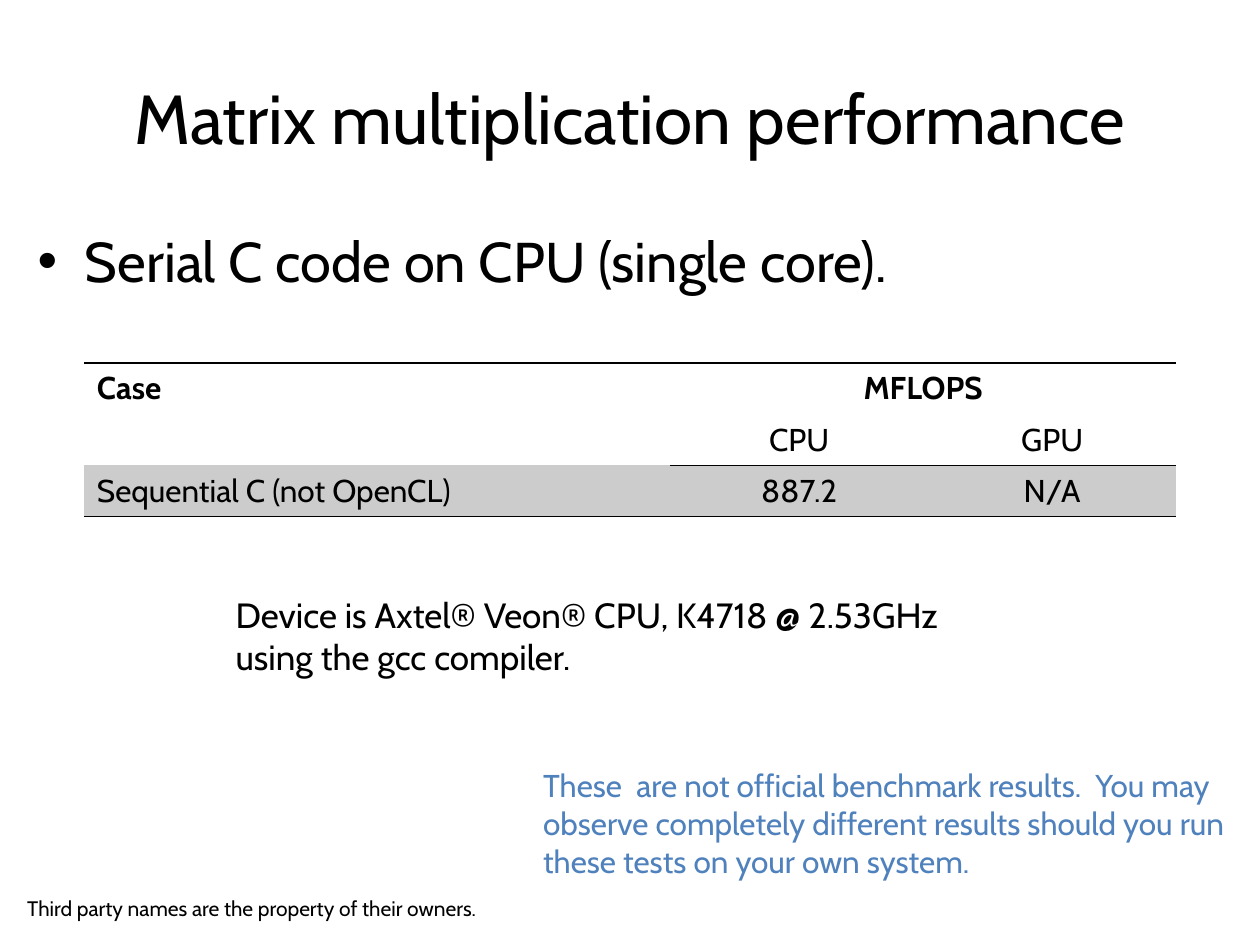
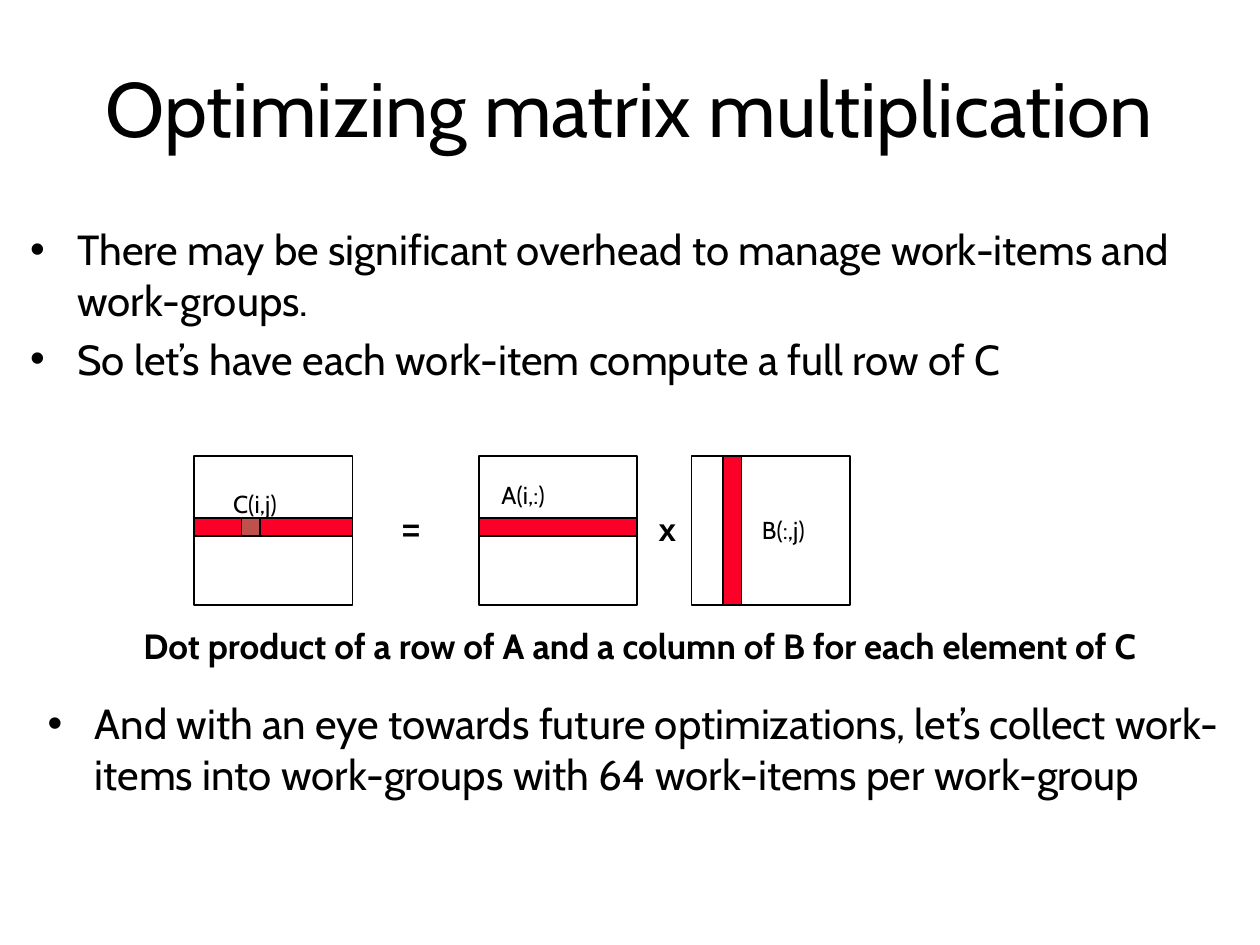
from lxml import etree
from pptx import Presentation
from pptx.dml.color import RGBColor
from pptx.enum.shapes import MSO_SHAPE as Shape
from pptx.enum.text import MSO_ANCHOR as Anchor, PP_ALIGN as Align
from pptx.oxml.ns import qn
from pptx.util import Cm, Pt

COLORS = {
    "text": "000000",
    "note": "4F81BD",
    "band": "FC0128",
    "element": "C0504D",
    "shaded_row": "CCCCCC",
}
FONT = "Cabin"
SYMBOL_FONT = "Arial"
PLAIN_TABLE = "{2D5ABB26-0587-4C30-8999-92F81FD0307C}"
BULLET_INDENT = Cm(0.95)


def color(name):
    return RGBColor.from_string(COLORS[name])


def add_bullet(para):
    props = para._p.get_or_add_pPr()
    props.set("marL", str(BULLET_INDENT))
    props.set("indent", str(-BULLET_INDENT))
    etree.SubElement(props, qn("a:buFont")).set("typeface", "Arial")
    etree.SubElement(props, qn("a:buChar")).set("char", "•")


def write(frame, text, size=18, bold=False, ink="text", font=FONT,
          align=Align.LEFT, bullet=False):
    """Fill a text frame, one paragraph for each line of text."""
    for number, line in enumerate(text.split("\n")):
        para = frame.add_paragraph() if number else frame.paragraphs[0]
        para.alignment = align
        if number:
            para.space_before = Pt(round(size * 0.2, 1))
        if bullet:
            add_bullet(para)
        span = para.add_run()
        span.text = line
        span.font.name = font
        span.font.size = Pt(size)
        span.font.bold = bold
        span.font.color.rgb = color(ink)


def add_border(cell, side):
    """Draw a thin line on one side of a cell: lnT or lnB."""
    line = etree.SubElement(cell._tc.get_or_add_tcPr(), qn(f"a:{side}"))
    line.set("w", str(Pt(1)))
    fill = etree.SubElement(line, qn("a:solidFill"))
    etree.SubElement(fill, qn("a:srgbClr")).set("val", COLORS["text"])


class Pages:
    """Holds the deck and the current page; lengths are in centimetres."""

    def __init__(self):
        self.deck = Presentation()
        self.deck.slide_width = Cm(25.4)
        self.deck.slide_height = Cm(19.05)
        self.page = None

    def start(self, title, left, top, width, size):
        self.page = self.deck.slides.add_slide(self.deck.slide_layouts[6])
        self.text(title, left, top, width, 3.18, anchor=Anchor.MIDDLE,
                  size=size, align=Align.CENTER)

    def text(self, text, left, top, width, height, anchor=Anchor.TOP, **style):
        box = self.page.shapes.add_textbox(
            Cm(left), Cm(top), Cm(width), Cm(height))
        box.text_frame.word_wrap = True
        box.text_frame.vertical_anchor = anchor
        write(box.text_frame, text, **style)

    def bullets(self, text, left, top, height, size):
        self.text(text, left, top, 24.4, height, size=size, bullet=True)

    def rectangle(self, left, top, width, height, fill=None):
        box = self.page.shapes.add_shape(
            Shape.RECTANGLE, Cm(left), Cm(top), Cm(width), Cm(height))
        box.shadow.inherit = False
        box.line.color.rgb = color("text")
        box.line.width = Pt(1)
        if fill:
            box.fill.solid()
            box.fill.fore_color.rgb = color(fill)
        else:
            box.fill.background()

    def table(self, rows, left, top, widths, row_height, header_rows):
        """Draw a ruled table whose rows below the header are shaded."""
        table = self.page.shapes.add_table(
            len(rows), len(widths), Cm(left), Cm(top),
            Cm(sum(widths)), Cm(row_height * len(rows))).table
        table._tbl.tblPr.find(qn("a:tableStyleId")).text = PLAIN_TABLE
        table.first_row = table.horz_banding = False
        for column, width in zip(table.columns, widths):
            column.width = Cm(width)
        for r, values in enumerate(rows):
            table.rows[r].height = Cm(row_height)
            for c, value in enumerate(values):
                cell = table.cell(r, c)
                if r == 0:
                    add_border(cell, "lnT")
                if r >= header_rows - 1:
                    add_border(cell, "lnB")
                if r >= header_rows:
                    cell.fill.solid()
                    cell.fill.fore_color.rgb = color("shaded_row")
                else:
                    cell.fill.background()
                if c:
                    cell.vertical_anchor = Anchor.MIDDLE
                if value:
                    write(cell.text_frame, value, bold=r == 0,
                          align=Align.CENTER if c else Align.LEFT)
        return table

    def save(self):
        self.deck.save("out.pptx")


def performance_page(pages):
    pages.start("Matrix multiplication performance", 1.27, 0.76, 22.86, 39.6)
    pages.bullets("Serial C code on CPU (single core).", 0.51, 4.45, 2.29, 32)
    results = pages.table(
        [("Case", "MFLOPS", ""),
         ("", "CPU", "GPU"),
         ("Sequential C (not OpenCL)", "887.2", "N/A")],
        1.7, 7.32, (11.81, 5.2, 5), 1.03, header_rows=2)
    results.cell(0, 0).merge(results.cell(1, 0))
    results.cell(0, 1).merge(results.cell(0, 2))
    pages.text("Device is Axtel® Veon® CPU, K4718 @ 2.53GHz using the gcc "
               "compiler.", 4.5, 11.84, 15.8, 1.96, size=20)
    pages.text("Third party names are the property of their owners.",
               0.3, 17.93, 13.5, 1.1, size=12)
    pages.text("These  are not official benchmark results.  You may observe "
               "completely different results should you run these tests on "
               "your own system.", 10.7, 15.32, 14.5, 3.33, ink="note")


def optimizing_page(pages):
    pages.start("Optimizing matrix multiplication", 0.3, 0.56, 24.8, 44)
    pages.bullets("There may be significant overhead to manage work-items and "
                  "work-groups.\n"
                  "So let’s have each work-item compute a full row of C",
                  0.36, 4.39, 6, 24)

    top, width, height, strip = 9.2, 3.2, 3, 0.37
    row_top = top + 1.24
    c_left, a_left, b_left = 3.91, 9.65, 13.94
    for left, label, label_left, label_top in (
            (c_left, "C(i,j)", 4.45, 9.73),
            (a_left, "A(i,:)", 9.86, 9.55),
            (b_left, "B(:,j)", 15.11, 10.26)):
        pages.rectangle(left, top, width, height)
        pages.text(label, label_left, label_top, 1.88, 0.86, size=14)
    for left in (c_left, a_left):
        pages.rectangle(left, row_top, width, strip, "band")
    pages.rectangle(b_left + 0.64, top, strip, height, "band")
    pages.rectangle(c_left + 0.96, row_top, strip, strip, "element")
    for sign, left in (("=", 7.85), ("x", 13.03)):
        pages.text(sign, left, 10.16, 0.9, 1.27, bold=True, font=SYMBOL_FONT)

    pages.text("Dot product of a row of A and a column of B for each element "
               "of C", 1.7, 12.47, 22.4, 1.09, size=20, bold=True,
               align=Align.CENTER)
    pages.bullets("And with an eye towards future optimizations, let’s collect "
                  "work-items into work-groups with 64 work-items per "
                  "work-group", 0.71, 13.94, 3.53, 24)


def main():
    pages = Pages()
    performance_page(pages)
    optimizing_page(pages)
    pages.save()


if __name__ == "__main__":
    main()
